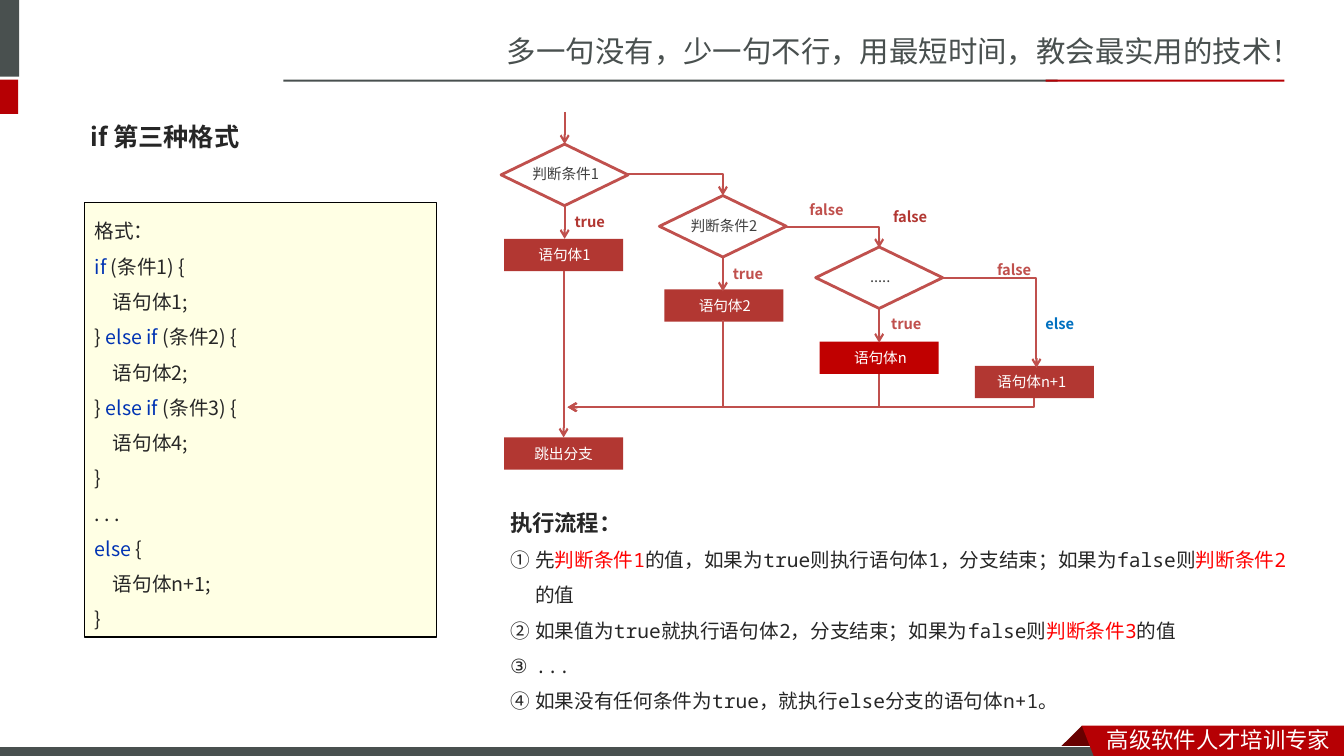
from lxml import etree
from pptx import Presentation
from pptx import util as u
from pptx.dml.color import RGBColor
from pptx.enum import shapes, text
from pptx.oxml import ns

SC, JP, MONO = "Noto Sans CJK SC", "Noto Sans CJK JP", "Noto Sans Mono"
GREY, RED, BRICK, ROSE, INK, WHITE = "49504F", "B60004", "B23732", "C0504D", "262626", "FFFFFF"

SLOGAN = "多一句没有，少一句不行，用最短时间，教会最实用的技术！"
FOOTER = "高级软件人才培训专家"
HEADING = "if 第三种格式"
CODE = [
    "格式：",
    "|if| (条件1) {",
    "\t语句体1;",
    "} |else if| (条件2) {",
    "\t语句体2;",
    "} |else if| (条件3) {",
    "\t语句体4;",
    "}",
    ". . .",
    "|else| {",
    "\t语句体n+1;",
    "}",
]
STEPS_TITLE = "执行流程："
STEPS = [
    "先|判断条件1|的值，如果为true则执行语句体1，分支结束；如果为false则|判断条件2|的值",
    "如果值为true就执行语句体2，分支结束；如果为false则|判断条件3|的值",
    "...",
    "如果没有任何条件为true，就执行else分支的语句体n+1。",
]

BARS = [
    (-0.06, 0, 0.25, 0.76, GREY),
    (-0.06, 0.79, 0.24, 0.34, RED),
    (2.81, 0.79, 7.68, 0.02, GREY),
    (10.37, 0.79, 2.37, 0.02, RED),
]
RIBBON_FOLD = [(10.73, 7.2), (10.95, 7.42), (10.94, 7.43), (10.52, 7.43), (10.51, 7.42)]
RIBBON = [(10.73, 7.2), (13.33, 7.2), (13.33, 7.54), (10.86, 7.53)]

DECISIONS = [(4.97, 1.43, "判断条件1", 0.88), (6.54, 1.94, "判断条件2", 0.88), (8.09, 2.45, ".....", 0.42)]
STATEMENTS = [
    (5, 2.37, "语句体1", 0.24, BRICK),
    (5, 4.34, "跳出分支", 0.2, BRICK),
    (6.59, 2.87, "语句体2", 0.24, BRICK),
    (8.13, 3.39, "语句体n", 0.24, "C00000"),
    (9.67, 3.63, "语句体n+1", 0.12, BRICK),
]
ARROWS = [
    (5.6, 1.11, 5.6, 1.43),
    (5.6, 2.04, 5.6, 2.37),
    (5.59, 2.69, 5.59, 4.34),
    (7.17, 2.55, 7.17, 2.89),
    (8.72, 3.06, 8.72, 3.4),
]
BRANCHES = [(6.23, 1.73, 7.17, 1.94), (7.78, 2.25, 8.72, 2.46), (9.35, 2.76, 10.28, 3.65)]
MERGE = (5.63, 4.04)
MERGE_STARTS = [(7.17, 3.18), (8.72, 3.71), (10.26, 3.95)]
BRANCH_LABELS = [
    (5.6, 2.06, "true", BRICK),
    (7.17, 2.58, "true", ROSE),
    (8.74, 3.07, "true", ROSE),
    (7.93, 1.94, "false", ROSE),
    (8.76, 2.01, "false", BRICK),
    (9.79, 2.54, "false", ROSE),
    (10.27, 3.07, "else", "0070C0"),
]

deck = Presentation()
deck.slide_width, deck.slide_height = u.Inches(13.33), u.Inches(7.5)
page = deck.slides.add_slide(deck.slide_layouts[6])


def color(value):
    return RGBColor.from_string(value)


def apply(target, **values):
    for name, value in values.items():
        setattr(target, name, value)


def paint(shape, fill=None, line=None, width=1):
    shape.shadow.inherit = False
    if fill:
        shape.fill.solid()
        shape.fill.fore_color.rgb = color(fill)
    else:
        shape.fill.background()
    if line:
        shape.line.color.rgb = color(line)
        shape.line.width = u.Pt(width)
    else:
        shape.line.fill.background()
    return shape


def block(kind, left, top, width, height, fill=None, line=None, weight=1):
    shape = page.shapes.add_shape(kind, *map(u.Inches, (left, top, width, height)))
    return paint(shape, fill, line, weight)


def polygon(points, fill):
    corners = [(u.Inches(x), u.Inches(y)) for x, y in points]
    builder = page.shapes.build_freeform(*corners[0])
    builder.add_line_segments(corners[1:], close=True)
    paint(builder.convert_to_shape(), fill)


def write(para, content, size, font, ink, accent=None, bold=False):
    for index, part in enumerate(content.split("|")):
        if not part:
            continue
        span = para.add_run()
        span.text = part
        apply(span.font, size=u.Pt(size), name=font, bold=bold)
        span.font.color.rgb = color(accent if index % 2 else ink)
        east = etree.SubElement(span.font._element, ns.qn("a:ea"))
        east.set("typeface", JP if font == MONO else font)


def label(left, top, width, height, content, size, font, ink, bold=False,
          align=text.PP_ALIGN.LEFT, anchor=text.MSO_ANCHOR.TOP):
    box = page.shapes.add_textbox(*map(u.Inches, (left, top, width, height)))
    apply(box.text_frame, word_wrap=True, vertical_anchor=anchor)
    para = box.text_frame.paragraphs[0]
    para.alignment = align
    write(para, content, size, font, ink, bold=bold)
    return box


def connect(kind, x1, y1, x2, y2, arrow_end):
    link = page.shapes.add_connector(kind, *map(u.Inches, (x1, y1, x2, y2)))
    link.line.color.rgb = color(ROSE)
    link.line.width = u.Pt(1.5)
    properties = link._element.spPr
    if kind == shapes.MSO_CONNECTOR.ELBOW:
        properties.find(ns.qn("a:prstGeom")).set("prst", "bentConnector2")
    etree.SubElement(properties.find(ns.qn("a:ln")), ns.qn(arrow_end)).set("type", "arrow")
    etree.SubElement(properties, ns.qn("a:effectLst"))


RECT = shapes.MSO_SHAPE.RECTANGLE
for *place, fill in BARS:
    block(RECT, *place, fill)
label(4.93, 0.28, 8.41, 0.47, SLOGAN, 21, SC, GREY)
polygon(RIBBON_FOLD, "680000")
block(RECT, -0.01, 7.41, 11, 0.12, GREY, WHITE, 0.75)
polygon(RIBBON, RED)
label(10.88, 7.15, 2.45, 0.37, FOOTER, 16, SC, WHITE)
label(0.8, 1.07, 2.36, 0.57, HEADING, 18, JP, INK, True, anchor=text.MSO_ANCHOR.MIDDLE)

code_frame = block(RECT, 0.84, 2.01, 3.49, 4.31, "FFFFE4", "000000").text_frame
apply(code_frame, word_wrap=True, vertical_anchor=text.MSO_ANCHOR.TOP)
for index, row in enumerate(CODE):
    para = code_frame.add_paragraph() if index else code_frame.paragraphs[0]
    apply(para, alignment=text.PP_ALIGN.LEFT, line_spacing=1.5)
    if row.startswith("\t"):
        para._p.get_or_add_pPr().set("marL", str(u.Inches(0.18)))
    write(para, row.strip(), 14, JP, INK, "0033B3")

steps_frame = label(4.96, 4.87, 8.05, 1.88, STEPS_TITLE, 16, JP, INK, True).text_frame
steps_frame.paragraphs[0].line_spacing = 1.5
for step in STEPS:
    para = steps_frame.add_paragraph()
    para.line_spacing = 1.5
    settings = para._p.get_or_add_pPr()
    settings.set("marL", str(u.Inches(0.25)))
    settings.set("indent", str(u.Inches(-0.25)))
    etree.SubElement(settings, ns.qn("a:buAutoNum")).set("type", "circleNumDbPlain")
    write(para, step, 14, MONO, INK, "FF0000")

for left, top, content, width in DECISIONS:
    block(shapes.MSO_SHAPE.FLOWCHART_DECISION, left, top, 1.26, 0.61, None, ROSE, 2)
    label(left + 0.64 - width / 2, top + 0.16, width, 0.28, content, 10.5, JP, "404040",
          align=text.PP_ALIGN.CENTER)
for left, top, content, inset, fill in STATEMENTS:
    frame = block(RECT, left, top, 1.18, 0.32, fill).text_frame
    apply(frame, margin_left=u.Inches(inset + 0.1), margin_right=0, margin_top=0, margin_bottom=0,
          word_wrap=True, vertical_anchor=text.MSO_ANCHOR.MIDDLE)
    frame.paragraphs[0].alignment = text.PP_ALIGN.LEFT
    write(frame.paragraphs[0], content, 10.5, JP, WHITE)
for ends in ARROWS:
    connect(shapes.MSO_CONNECTOR.STRAIGHT, *ends, "a:tailEnd")
for ends in BRANCHES:
    connect(shapes.MSO_CONNECTOR.ELBOW, *ends, "a:tailEnd")
for start in MERGE_STARTS:
    connect(shapes.MSO_CONNECTOR.ELBOW, *MERGE, *start, "a:headEnd")
for left, top, content, ink in BRANCH_LABELS:
    label(left, top, 0.98, 0.28, content, 10.5, JP, ink, True)

deck.save("out.pptx")
